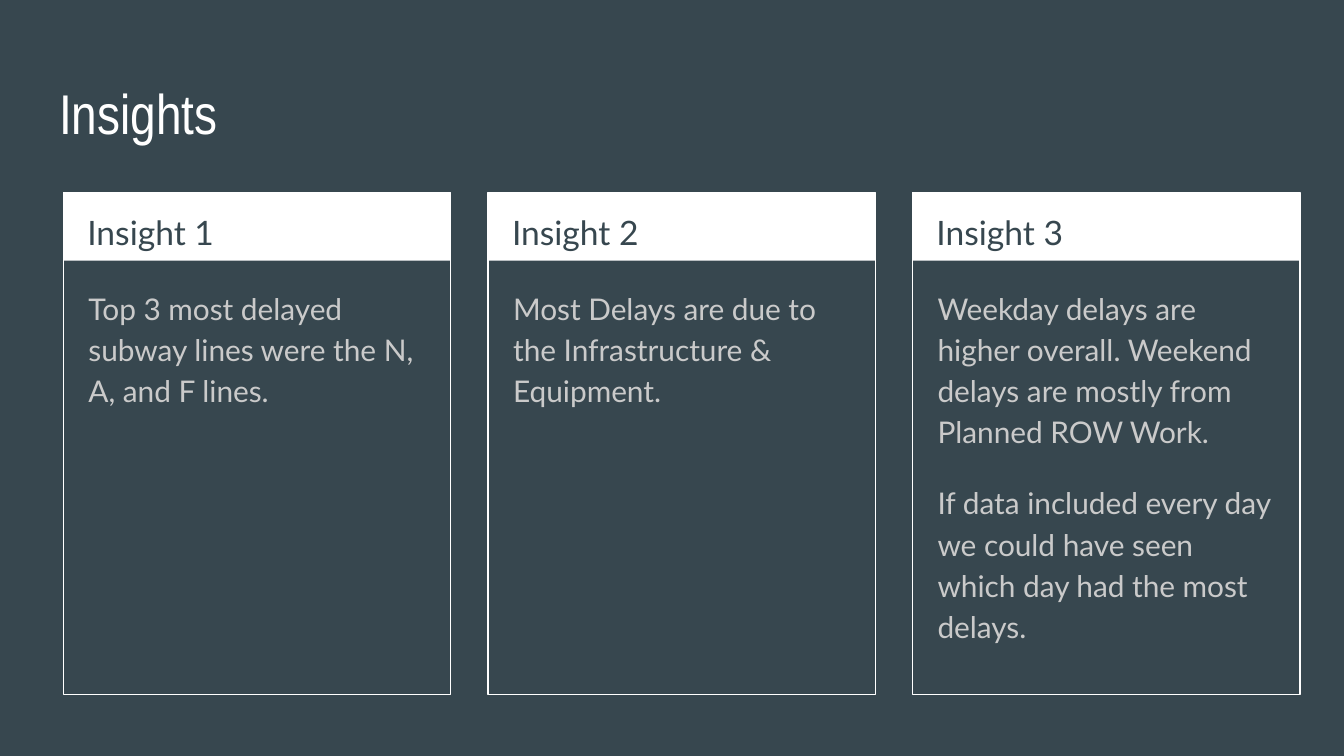
"""Build the Insights slide: a title above three outlined insight cards."""
from dataclasses import dataclass

import pptx
import pptx.dml.color
import pptx.enum.shapes
import pptx.enum.text
import pptx.oxml
import pptx.oxml.ns
import pptx.util

Pt = pptx.util.Pt


@dataclass(frozen=True)
class Theme:
    background: str = "37474F"
    white: str = "FFFFFF"
    muted: str = "CACACA"
    title_font: str = "Arial Narrow"
    body_font: str = "Lato"
    title_size: int = 30
    heading_size: int = 18
    detail_size: int = 16
    outline: float = 0.75
    inset: float = 7.2


def rgb(value):
    return pptx.dml.color.RGBColor.from_string(value)


def write(paragraph, text, *, font, size, color, spacing=1.0, before=0, after=0):
    paragraph.alignment = pptx.enum.text.PP_ALIGN.LEFT
    paragraph.line_spacing = spacing
    paragraph.space_before, paragraph.space_after = Pt(before), Pt(after)
    properties = paragraph._p.get_or_add_pPr()
    properties.set("marL", "0")
    properties.set("indent", "0")
    properties.append(pptx.oxml.parse_xml(f"<a:buNone {pptx.oxml.ns.nsdecls('a')}/>"))
    run = paragraph.add_run()
    run.text = text
    run.font.name, run.font.size, run.font.bold = font, Pt(size), False
    run.font.color.rgb = rgb(color)


class InsightSlide:
    def __init__(self, presentation, theme):
        self.theme = theme
        self.slide = presentation.slides.add_slide(presentation.slide_layouts.get_by_name("Comparison"))
        fill = self.slide.background.fill
        fill.solid()
        fill.fore_color.rgb = rgb(theme.background)
        self.bodies = iter([p for p in self.slide.placeholders if p.placeholder_format.idx])

    def text(self, holder, box, paragraphs, **style):
        holder.left, holder.top, holder.width, holder.height = map(Pt, box)
        frame = holder.text_frame
        frame.word_wrap = True
        frame.auto_size = pptx.enum.text.MSO_AUTO_SIZE.NONE
        frame.vertical_anchor = pptx.enum.text.MSO_ANCHOR.TOP
        inset = Pt(self.theme.inset)
        frame.margin_left = frame.margin_right = inset
        frame.margin_top = frame.margin_bottom = inset
        gap = style.get("after", 0)
        for index, text in enumerate(paragraphs):
            paragraph = frame.add_paragraph() if index else frame.paragraphs[0]
            last = index == len(paragraphs) - 1
            write(paragraph, text, **{**style, "before": gap if index else 0,
                                      "after": gap if last else 0})
        holder.element.getparent().append(holder.element)

    def title(self, text, box):
        theme = self.theme
        self.text(self.slide.shapes.title, box, [text], font=theme.title_font,
                  size=theme.title_size, color=theme.white)

    def body(self, box, paragraphs, **style):
        holder = next(self.bodies, None)
        if holder is None:
            holder = self.slide.shapes.add_textbox(*map(Pt, box))
        self.text(holder, box, paragraphs, font=self.theme.body_font, spacing=1.15, **style)

    def rectangle(self, group, box, fill=None, line=None):
        rectangle = group.shapes.add_shape(
            pptx.enum.shapes.MSO_SHAPE.RECTANGLE, *map(Pt, box))
        rectangle.shadow.inherit = False
        if fill:
            rectangle.fill.solid()
            rectangle.fill.fore_color.rgb = rgb(fill)
        else:
            rectangle.fill.background()
        if line:
            rectangle.line.color.rgb = rgb(line)
            rectangle.line.width = Pt(self.theme.outline)
        else:
            rectangle.line.fill.background()

    def card(self, left, heading, details):
        theme, top, width = self.theme, 103, 207.4
        group = self.slide.shapes.add_group_shape()
        self.rectangle(group, (left, top, width, 36.6), fill=theme.white)
        self.rectangle(group, (left, top, width, 269), line=theme.white)
        self.body((left + 5.6, top, 196.4, 36), [heading],
                  size=theme.heading_size, color=theme.background)
        self.body((left + 6.2, top + 42.6, 195.2, 220), details,
                  size=theme.detail_size, color=theme.muted, after=16)


def main():
    presentation = pptx.Presentation()
    presentation.slide_width, presentation.slide_height = Pt(720), Pt(405)
    page = InsightSlide(presentation, Theme())
    page.title("Insights", (24.5, 35, 671, 45))
    insights = [
        ["Top 3 most delayed subway lines were the N, A, and F lines."],
        ["Most Delays are due to the Infrastructure & Equipment."],
        ["Weekday delays are higher overall. Weekend delays are mostly from Planned ROW Work.",
         "If data included every day we could have seen which day had the most delays."],
    ]
    first_left, pitch = 34, 227.5
    for index, details in enumerate(insights):
        page.card(first_left + index * pitch, f"Insight {index + 1}", details)
    presentation.save("out.pptx")


if __name__ == "__main__":
    main()
